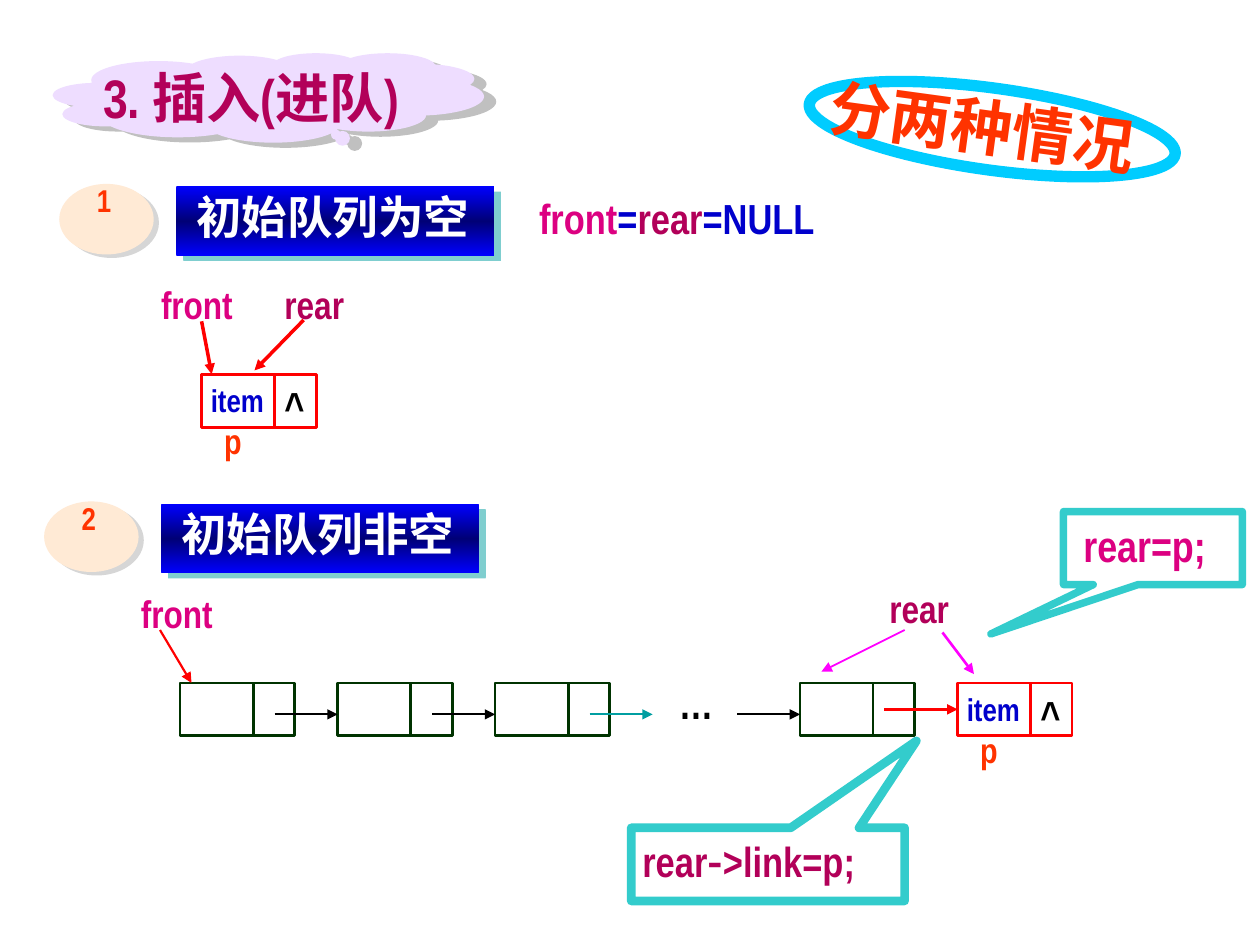
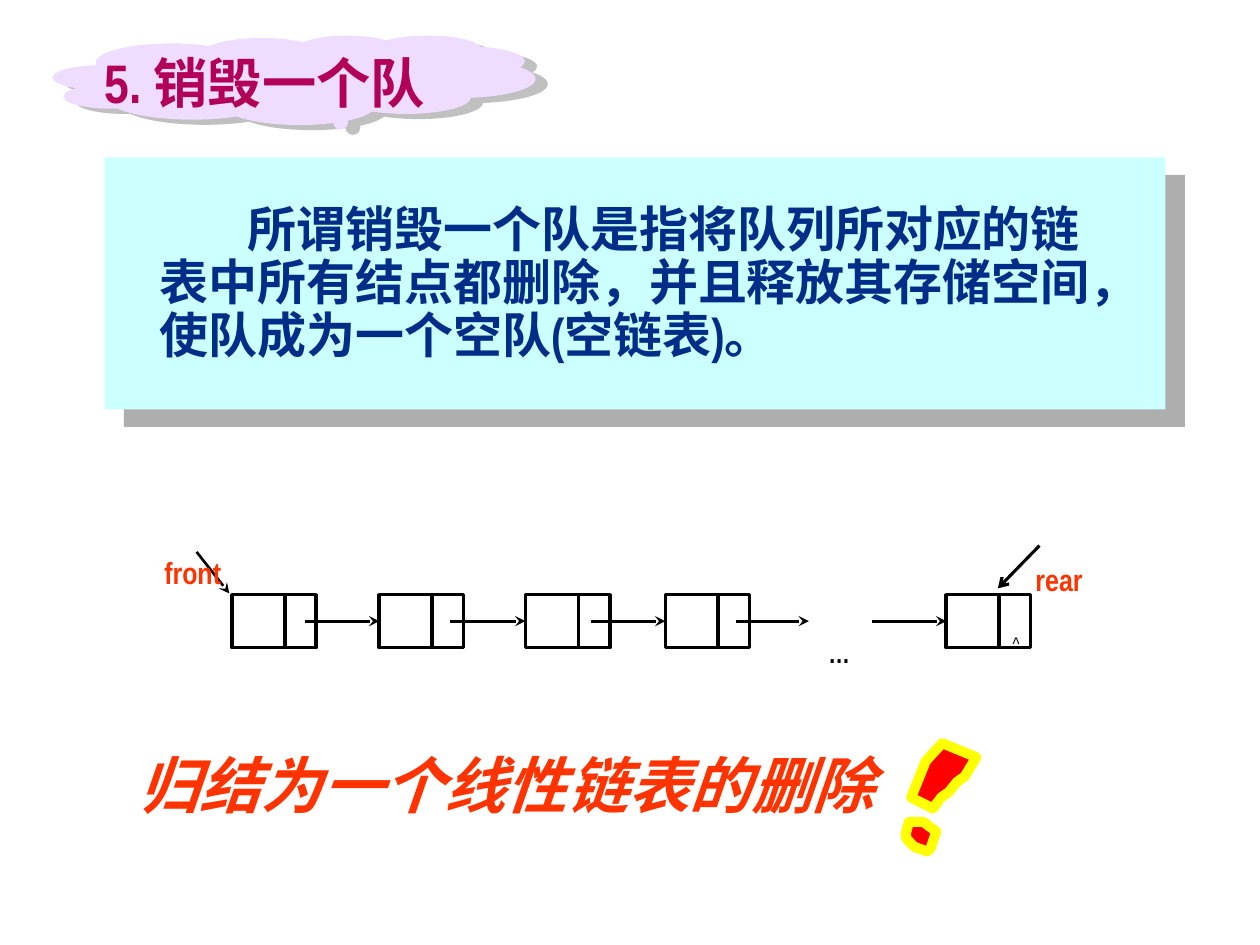
from lxml.etree import SubElement
from pptx import Presentation
from pptx.dml.color import RGBColor
from pptx.enum.shapes import MSO_CONNECTOR, MSO_SHAPE
from pptx.enum.text import MSO_AUTO_SIZE, PP_ALIGN
from pptx.oxml.ns import qn
from pptx.util import Inches, Pt

deck = Presentation()
deck.slide_width, deck.slide_height = Inches(10), Inches(7.5)
CELL = deck.slide_width / 100  # the slide is 100 columns by 75 rows

LATIN, CHINESE = "Arial Narrow", "Noto Sans CJK SC"
PINK, PLUM, BLUE, ORANGE = "DC0081", "B20059", "0000CC", "FF3300"
RED, BLACK, GREEN, MAGENTA, AQUA = "FF0000", "000000", "003300", "FF00FF", "33CCCC"

# Shape styles: shadow is colour, opacity, distance, angle
CLOUD = {"preset": MSO_SHAPE.CLOUD_CALLOUT, "fill": "EEDDFF", "shadow": ("C0C0C0", 100, 7.6, 23)}
DISC = {"preset": MSO_SHAPE.OVAL, "fill": "FFEAD5", "shadow": ("D6D6D6", 100, 3.6, 34)}
BANNER = {"gradient": ("0000FF", "000076", "0000FF"), "shadow": ("009EA1", 50, 5, 37)}
PANEL = {"fill": "CCFFFF", "shadow": ("AEAEAE", 100, 14.9, 42)}
CALLOUT = {"preset": MSO_SHAPE.RECTANGULAR_CALLOUT}
LABEL = {"wrap": False}
LOWERED = {"wrap": False, "align": PP_ALIGN.CENTER, "baseline": -10000}


def grid(*values):
    return [round(value * CELL) for value in values]


def rgb(code):
    return RGBColor.from_string(code)


# Slide 1: inserting into the queue
insert_shapes = [
    ((50.1, 65.7, 21.7, 5.8), {**CALLOUT, "line": (AQUA, 5), "adjust": (0.543, -1.69)}),
    ((84.4, 40.6, 14.2, 5.8), {**CALLOUT, "line": (AQUA, 4.25), "adjust": (-0.906, 1.176)}),
    ((64.1, 7, 29.3, 6.5), {"preset": MSO_SHAPE.OVAL, "line": ("00CCFF", 6.5), "turn": 7.8}),
    ((4.2, 4.2, 34.2, 7.1), {**CLOUD, "adjust": (0.152, 0.402)}),
]
insert_texts = [
    ((7.2, 4.6, 34.1, 6.2), 31, [("3. 插入(进队)", PLUM)], {}),
    ((64.8, 6.8, 29.9, 6.8), 35, [("分两种情况", ORANGE)], {"turn": 7.8, "shadow": True}),
    ((41.8, 15.4, 30.3, 4.4), 24,
     [("front", PINK), ("=", BLUE), ("rear", PLUM), ("=NULL", BLUE)], {"spacing": 0.85}),
    ((11.8, 21.8, 25.6, 4.7), 22, [("front\t", PINK), ("rear", PLUM)], {"tab": 9.8}),
    ((10.2, 46.3, 8.6, 4.7), 22, [("front", PINK)], LABEL),
    ((69.6, 45.9, 7.6, 4.7), 22, [("rear", PLUM)], LABEL),
    ((52.9, 53.3, 4.8, 5.1), 24, [("…", BLACK)], LABEL),
    ((50, 65.8, 28.4, 5), 24,
     [("rear", PLUM), ("-", PLUM, CHINESE), (">link=p;", PLUM)], {}),
    ((85, 40.7, 14.2, 5.2), 25, [("rear=p;", PINK)], {}),
]
# The two numbered cases
cases = [(4.7, 14.6, "1", "初始队列为空"), (3.5, 39.8, "2", "初始队列非空")]
for left, top, number, heading in cases:
    insert_shapes += [((left, top, 7.5, 5.6), DISC),
                      ((left + 9.3, top + 0.2, 25.2, 5.5), BANNER)]
    insert_texts += [
        ((left + 2, top - 0.7, 4.2, 6.3), 18, [(number, ORANGE)], {**LABEL, "shadow": True}),
        ((left + 9.9, top - 0.1, 30.1, 5.3), 26, [(heading, "FFFFFF")], {"shadow": True}),
    ]
# The new node p, once in each case
for left, top in [(16, 29.7), (76, 54.2)]:
    insert_texts += [
        ((left + 0.8, top + 3.1, 3.6, 4.3), 20, [("p", ORANGE)], LABEL),
        ((left - 0.25, top + 0.05, 6.7, 4), 18, [("item", BLUE)], LABEL),
        ((left + 5.6, top, 3.6, 5), 24, [("^", BLACK)], LABEL),
    ]
insert_nodes = [(16, 29.7, RED, 1.75), (76, 54.2, RED, 1.5)]
insert_nodes += [(left, 54.2, GREEN, 1.5) for left in (14.3, 26.8, 39.3, 63.5)]
insert_arrows = [
    (16, 25.5, 16.8, 29.7, RED, 2, "triangle"),
    (24.1, 25.4, 20.2, 29.4, RED, 2, "triangle"),
    (12.7, 50, 15.2, 54.2, RED, 1.25, "triangle"),
    (71.8, 50, 65.2, 53.3, MAGENTA, 1, "triangle"),
    (74.8, 50.2, 77.3, 53.5, MAGENTA, 1.5, "triangle"),
    (70.2, 56.3, 76, 56.3, RED, 2, "triangle"),
]
insert_arrows += [(left, 56.7, left + 5, 56.7, color, 1.25, "triangle") for left, color in
                  [(21.8, BLACK), (34.3, BLACK), (46.8, "009EA1"), (58.5, BLACK)]]

# Slide 2: destroying the queue
destroy_shapes = [((8.3, 12.5, 84.2, 20), PANEL),
                  ((4.2, 2.8, 38.3, 7.1), {**CLOUD, "adjust": (0.082, 0.402)})]
destroy_texts = [
    ((7.3, 3.4, 39.6, 6.2), 31, [("5. 销毁一个队", PLUM)], {}),
    ((11.7, 15.8, 78.3, 13.6), 28,
     [("所谓销毁一个队是指将队列所对应的链表中所有结点都删除，并且释放其存储空间，"
       "使队成为一个空队(空链表)。", "002D88")], {"spacing": 0.9, "indent": 7}),
    ((64.6, 48.2, 4, 3.9), 26, [("…", BLACK)], LOWERED),
    ((79.3, 48.4, 2.7, 3), 18, [("^", BLACK)], {**LOWERED, "bold": False}),
    ((11.3, 41.3, 8, 4.3), 30, [("front", ORANGE)], LOWERED),
    ((80.5, 41.9, 7.1, 4.3), 30, [("rear", ORANGE)], LOWERED),
    ((10, 58.8, 64.2, 6.8), 35, [("归结为一个线性链表的删除", ORANGE)], {"italic": True}),
]
destroy_nodes = [(left, 47.2, BLACK, 2) for left in (18.4, 30.1, 41.7, 52.8, 75.1)]
destroy_arrows = [(left, 49.3, right, 49.3, BLACK, 1.75, "stealth") for left, right in
                  [(24.2, 30.1), (35.7, 41.7), (46.9, 52.8), (58.4, 64.2), (69.2, 75.1)]]
destroy_arrows += [(15.6, 43.8, 18.2, 47.1, BLACK, 1.5, "stealth"),
                   (82.5, 43.3, 79.2, 46.7, BLACK, 1.75, "arrow")]
exclamation = [
    [(74.1, 59.1), (77, 59.5), (76.5, 61.2), (76, 61.8), (75.6, 62.7), (75.1, 63.3),
     (74.7, 64.3), (72.8, 63.9), (73.2, 60.8)],
    [(73, 65.2), (71.9, 65.5), (71.9, 66.4), (72, 66.8), (72.8, 67.3), (73.9, 67.4),
     (74.1, 67.1), (74.2, 65.7)],
]

slides = [
    (insert_shapes, insert_nodes, (5.8, 3.3), insert_arrows, insert_texts, []),
    (destroy_shapes, destroy_nodes, (4.2, 2.5), destroy_arrows, destroy_texts, exclamation),
]
for shapes, nodes, (data_width, link_width), arrows, texts, outlines in slides:
    page = deck.slides.add_slide(deck.slide_layouts[6])

    # Each node is a data cell and a link cell
    for left, top, color, weight in nodes:
        shapes += [((left, top, data_width, 4.2), {"line": (color, weight)}),
                   ((left + data_width, top, link_width, 4.2), {"line": (color, weight)})]

    # Preset shapes
    left_middles = {}
    for place, style in shapes:
        preset = style.get("preset", MSO_SHAPE.RECTANGLE)
        shape = page.shapes.add_shape(preset, *grid(*place))
        shape.rotation = style.get("turn", 0)
        shape.shadow.inherit = False
        left_middles[round(place[0], 2), round(place[1] + place[3] / 2, 2)] = shape
        for index, value in enumerate(style.get("adjust", ())):
            shape.adjustments[index] = value
        properties = shape.element.spPr
        if "fill" in style:
            shape.fill.solid()
            shape.fill.fore_color.rgb = rgb(style["fill"])
        elif "gradient" in style:
            shape.fill.gradient()
            shape.fill.gradient_angle = 90
            stops = properties.find(".//" + qn("a:gsLst"))
            stops.clear()
            for index, code in enumerate(style["gradient"]):
                stop = SubElement(stops, qn("a:gs"), pos=str(index * 50000))
                SubElement(stop, qn("a:srgbClr"), val=code)
        else:
            shape.fill.background()
        if "line" in style:
            code, weight = style["line"]
            shape.line.color.rgb = rgb(code)
            shape.line.width = Pt(weight)
        else:
            shape.line.fill.background()
        if "shadow" in style:
            code, opacity, distance, angle = style["shadow"]
            shadow = SubElement(properties.find(qn("a:effectLst")), qn("a:outerShdw"),
                                dist=str(Pt(distance)), dir=str(angle * 60000),
                                algn="ctr", rotWithShape="0")
            tint = SubElement(shadow, qn("a:srgbClr"), val=code)
            SubElement(tint, qn("a:alpha"), val=str(opacity * 1000))

    # Pointers between the nodes
    for x1, y1, x2, y2, color, weight, head in arrows:
        arrow = page.shapes.add_connector(MSO_CONNECTOR.STRAIGHT, *grid(x1, y1, x2, y2))
        arrow.line.color.rgb = rgb(color)
        arrow.line.width = Pt(weight)
        if (x2, y2) in left_middles:
            arrow.end_connect(left_middles[x2, y2], 1)
        properties = arrow.element.spPr
        SubElement(properties.find(qn("a:ln")), qn("a:tailEnd"), type=head)
        SubElement(properties, qn("a:effectLst"))

    # Exclamation mark
    for points in outlines:
        start, *others = [grid(*point) for point in points]
        builder = page.shapes.build_freeform(*start)
        builder.add_line_segments(others, close=True)
        mark = builder.convert_to_shape()
        mark.rotation = 14.6
        mark.shadow.inherit = False
        mark.fill.solid()
        mark.fill.fore_color.rgb = rgb(RED)
        mark.line.color.rgb = rgb("FFFF00")
        mark.line.width = Pt(5.75)
        SubElement(mark.element.spPr.find(qn("a:ln")), qn("a:round"))

    # Texts
    for place, size, spans, options in texts:
        box = page.shapes.add_textbox(*grid(*place))
        box.rotation = options.get("turn", 0)
        frame = box.text_frame
        frame.word_wrap = options.get("wrap", True)
        frame.auto_size = MSO_AUTO_SIZE.SHAPE_TO_FIT_TEXT
        para = frame.paragraphs[0]
        para.alignment = options.get("align", PP_ALIGN.LEFT)
        para.line_spacing = options.get("spacing")
        layout = para._p.get_or_add_pPr()
        if "indent" in options:
            layout.set("indent", str(grid(options["indent"])[0]))
        if "tab" in options:
            tabs = SubElement(layout, qn("a:tabLst"))
            SubElement(tabs, qn("a:tab"), pos=str(grid(options["tab"])[0]), algn="l")
        for words, color, *face in spans:
            span = para.add_run()
            span.text = words
            span.font.color.rgb = rgb(color)
            properties = span._r.get_or_add_rPr()
            if "shadow" in options:
                effects = SubElement(properties, qn("a:effectLst"))
                shadow = SubElement(effects, qn("a:outerShdw"), dist=str(Pt(2)), dir="2700000")
                SubElement(shadow, qn("a:srgbClr"), val=BLACK)
            if "baseline" in options:
                properties.set("baseline", str(options["baseline"]))
            looks = {"name": face[0] if face else LATIN, "size": Pt(size),
                     "bold": options.get("bold", True), "italic": options.get("italic", False)}
            for name, value in looks.items():
                setattr(span.font, name, value)
            SubElement(properties, qn("a:ea"), typeface=CHINESE)

deck.save("out.pptx")
